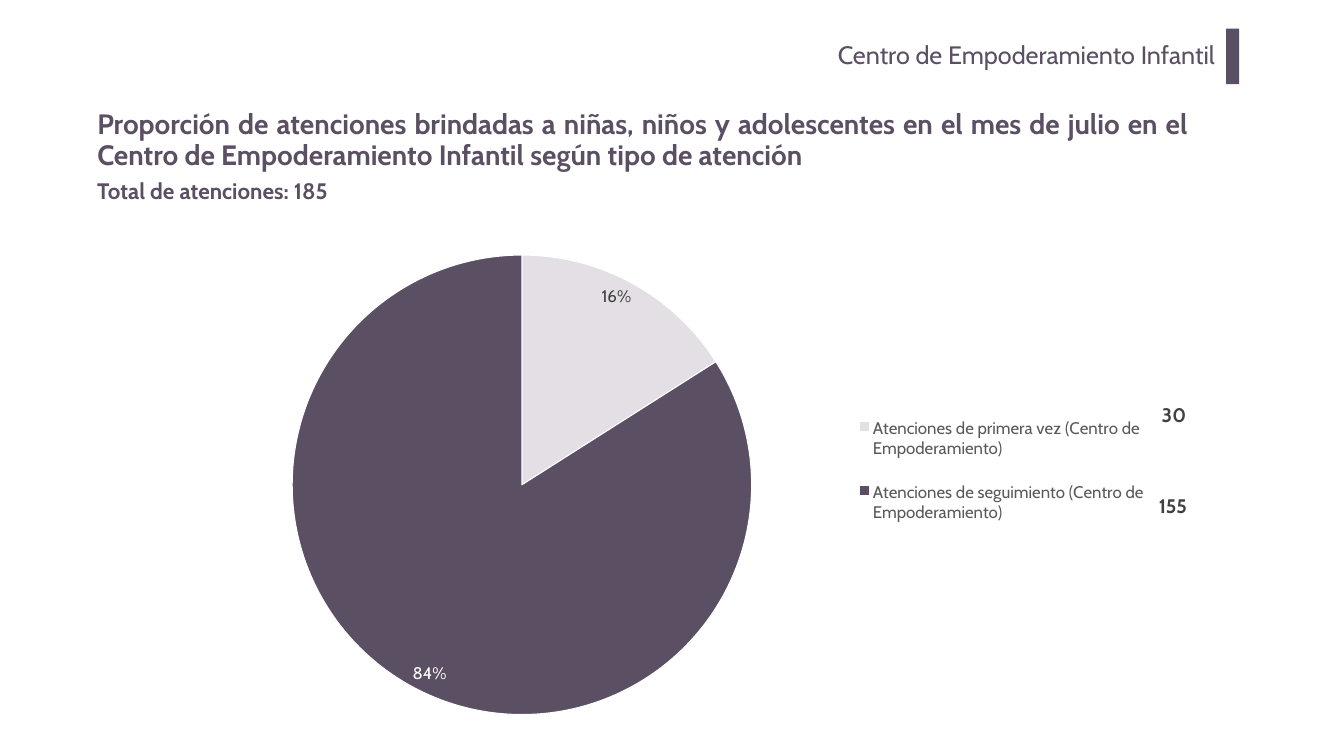
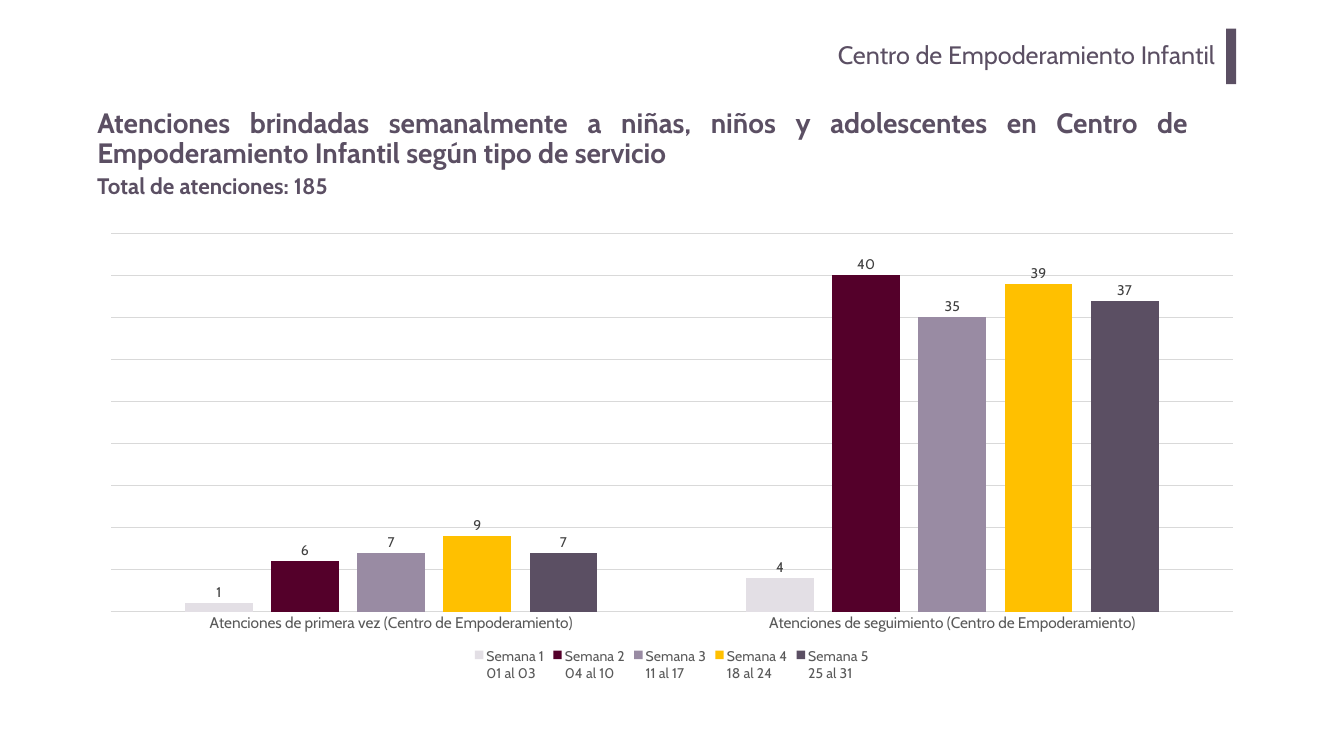
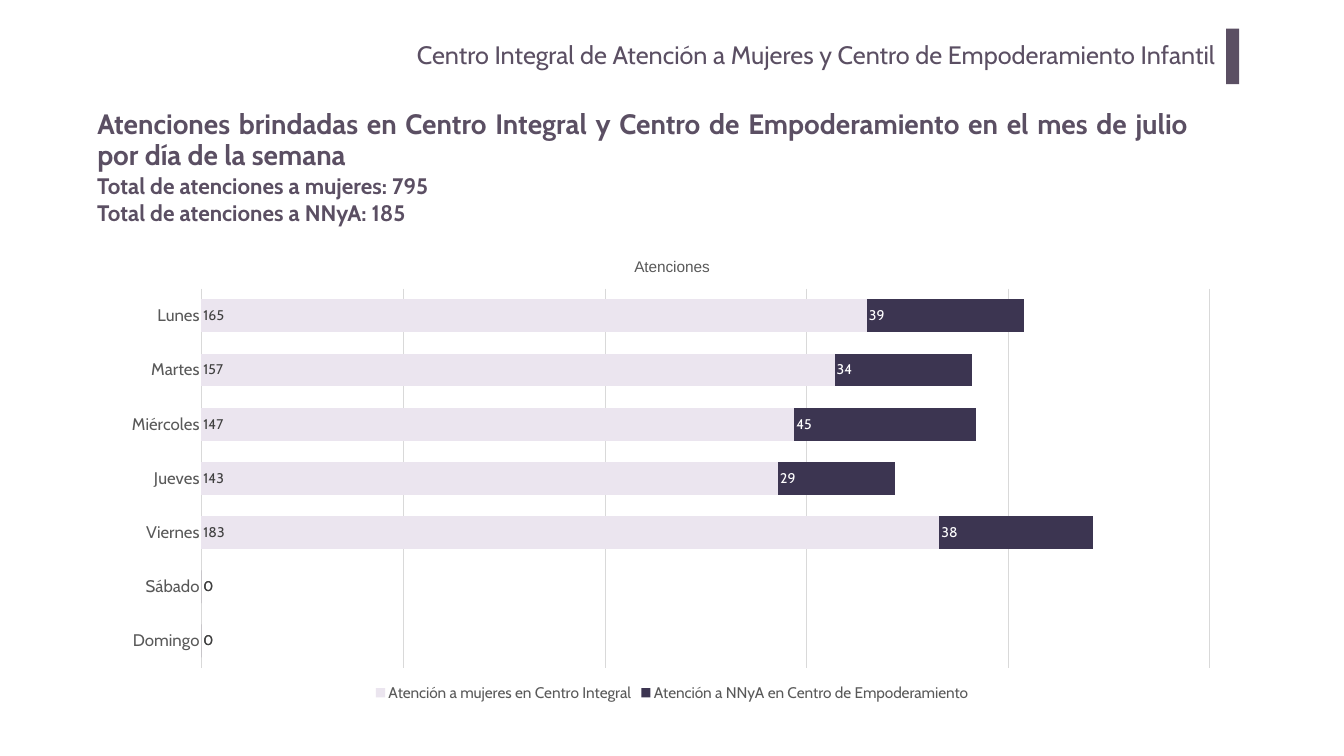
import pptx
import pptx.chart.data
import pptx.dml.color
import pptx.enum.chart
import pptx.enum.shapes
import pptx.enum.text
import pptx.oxml
import pptx.oxml.ns
import pptx.util
from pptx.util import Inches

ALIGN = pptx.enum.text.PP_ALIGN
ANCHOR = pptx.enum.text.MSO_ANCHOR
AUTO_SIZE = pptx.enum.text.MSO_AUTO_SIZE
KIND = pptx.enum.chart.XL_CHART_TYPE
LABEL = pptx.enum.chart.XL_LABEL_POSITION
LEGEND = pptx.enum.chart.XL_LEGEND_POSITION
TICK = pptx.enum.chart.XL_TICK_MARK

THEME = {
    "font": "Cabin", "chart_font": "Arial",
    "plum": "5B4F63", "mist": "E3DFE5", "wine": "54002A", "mauve": "998BA3",
    "gold": "FFC000", "lilac": "EBE5EF", "night": "3C3551", "white": "FFFFFF",
    "black": "000000", "dark": "404040", "gray": "595959", "rule": "D9D9D9",
    "header_size": 36, "title_size": 40, "total_size": 32, "count_size": 28,
    "chart_size": 10,
}

CENTER = "Centro de Empoderamiento Infantil"
SERVICES = ["Atenciones de primera vez (Centro de Empoderamiento)",
            "Atenciones de seguimiento (Centro de Empoderamiento)"]

SLIDES = [
    {
        "header": CENTER, "band_width": 0.26,
        "title": "Proporción de atenciones brindadas a niñas, niños y adolescentes "
                 "en el mes de julio en el Centro de Empoderamiento Infantil según "
                 "tipo de atención",
        "title_top": 2.07,
        "totals": ["Total de atenciones: 185"], "totals_at": (1.83, 3.46, 5.64, 0.64),
        "counts": [("30", (22.88, 7.95, 0.83, 0.51)), ("155", (22.86, 9.76, 0.83, 0.51))],
        "chart": {
            "kind": KIND.PIE, "at": (3.42, 4.91, 19.82, 9.42),
            "categories": SERVICES,
            "series": [("Series 1", [16, 84], None, [1])],
            "slices": ["mist", "plum"],
            "label": LABEL.INSIDE_END, "label_size": 24,
            "legend": LEGEND.RIGHT, "legend_size": 24,
            "plot_layout": (0.12, 0.015, 0.46, 0.97),
            "legend_layout": (0.68, 0.31, 0.3, 0.32),
        },
    },
    {
        "header": CENTER, "band_width": 0.2,
        "title": "Atenciones brindadas semanalmente a niñas, niños y adolescentes en "
                 "Centro de Empoderamiento Infantil según tipo de servicio",
        "title_top": 2.04,
        "totals": ["Total de atenciones: 185"], "totals_at": (1.83, 3.36, 5.64, 0.64),
        "chart": {
            "kind": KIND.COLUMN_CLUSTERED, "at": (1.73, 4.45, 23.2, 9.15),
            "categories": SERVICES,
            "series": [
                ("Semana 1\n01 al 03", [1, 4], "mist", []),
                ("Semana 2\n04 al 10", [6, 40], "wine", []),
                ("Semana 3\n11 al 17", [7, 35], "mauve", []),
                ("Semana 4\n18 al 24", [9, 39], "gold", []),
                ("Semana 5\n25 al 31", [7, 37], "plum", []),
            ],
            "label": LABEL.OUTSIDE_END, "label_size": 20,
            "legend": LEGEND.BOTTOM, "legend_size": 20, "axis_size": 22,
            "bars": {"gap_width": 219, "overlap": -27},
            "scale": {"minimum_scale": 0, "maximum_scale": 45, "major_unit": 5},
            "plot_layout": (0.02, 0.02, 0.96, 0.82),
        },
    },
    {
        "header": "Centro Integral de Atención a Mujeres y " + CENTER,
        "band_width": 0.26,
        "title": "Atenciones brindadas en Centro Integral y Centro de Empoderamiento "
                 "en el mes de julio por día de la semana",
        "title_top": 2.07,
        "totals": ["Total de atenciones a mujeres: 795", "Total de atenciones a NNyA: 185"],
        "totals_at": (1.83, 3.36, 8.12, 1.18),
        "chart": {
            "kind": KIND.BAR_STACKED, "at": (2.22, 4.81, 22.23, 9.18),
            "title": "Atenciones", "title_size": 22,
            "categories": ["Domingo", "Sábado", "Viernes", "Jueves", "Miércoles",
                           "Martes", "Lunes"],
            "series": [
                ("Atención a mujeres en Centro Integral",
                 [0, 0, 183, 143, 147, 157, 165], "lilac", []),
                ("Atención a NNyA en Centro de Empoderamiento",
                 [0, 0, 38, 29, 45, 34, 39], "night", [2, 3, 4, 5, 6]),
            ],
            "label": LABEL.INSIDE_BASE, "label_size": 20,
            "legend": LEGEND.BOTTOM, "legend_size": 22, "axis_size": 24,
            "bars": {"gap_width": 65, "overlap": 100},
            "scale": {"minimum_scale": 0, "maximum_scale": 250, "major_unit": 50},
            "plot_layout": (0.08, 0.1, 0.9, 0.82),
        },
    },
]


def rgb(color):
    return pptx.dml.color.RGBColor.from_string(THEME[color])


def assign(target, values):
    for name, value in values.items():
        setattr(target, name, value)


def style_font(font, size, color, bold=False, face="font"):
    assign(font, {"name": THEME[face], "size": pptx.util.Pt(size), "bold": bold})
    font.color.rgb = rgb(color)


def fill_text(frame, lines, size, color, bold=False, para_format=None):
    for index, line in enumerate(lines):
        para = frame.add_paragraph() if index else frame.paragraphs[0]
        assign(para, para_format or {})
        span = para.add_run()
        span.text = line
        style_font(span.font, size, color, bold)


def add_text(page, at, lines, size, color, bold=False, para_format=None, frame_format=None):
    box = page.shapes.add_textbox(*map(Inches, at))
    assign(box.text_frame, {"word_wrap": True, **(frame_format or {})})
    fill_text(box.text_frame, lines, size, color, bold, para_format)


def add_header(page, text, band_width):
    margins = {"margin_left": Inches(0.2), "margin_right": Inches(0.2),
               "margin_top": Inches(0.1), "margin_bottom": Inches(0.1)}
    add_text(page, (4.01, 0.67, 20.3, 1.02), [text], THEME["header_size"], "plum",
             para_format={"alignment": ALIGN.RIGHT}, frame_format=margins)
    band = page.shapes.add_shape(pptx.enum.shapes.MSO_SHAPE.RECTANGLE,
                                 *map(Inches, (24.33, 0.57, band_width, 1.1)))
    band.shadow.inherit = False
    band.fill.solid()
    band.fill.fore_color.rgb = rgb("plum")
    band.line.fill.background()


def set_title(page, text, top):
    title = page.shapes.title
    assign(title, {"left": Inches(1.83), "top": Inches(top),
                   "width": Inches(21.85), "height": Inches(1.45)})
    assign(title.text_frame, {"vertical_anchor": ANCHOR.MIDDLE, "word_wrap": True,
                              "auto_size": AUTO_SIZE.NONE})
    fill_text(title.text_frame, [text], THEME["title_size"], "plum", True,
              {"alignment": ALIGN.JUSTIFY, "line_spacing": 0.9})


def set_layout(parent, index, box, inner=False):
    """Fix the place of a chart part, in fractions of the chart's size."""
    for old in parent.findall(pptx.oxml.ns.qn("c:layout")):
        parent.remove(old)
    target = '<c:layoutTarget val="inner"/>' if inner else ""
    modes = '<c:xMode val="edge"/><c:yMode val="edge"/>'
    sizes = "".join(f'<c:{name} val="{value}"/>' for name, value in zip("xywh", box))
    parent.insert(index, pptx.oxml.parse_xml(
        f'<c:layout {pptx.oxml.ns.nsdecls("c")}><c:manualLayout>'
        f"{target}{modes}{sizes}</c:manualLayout></c:layout>"))


def style_axes(chart, info):
    categories, values = chart.category_axis, chart.value_axis
    assign(categories, {"major_tick_mark": TICK.NONE, "minor_tick_mark": TICK.NONE})
    style_font(categories.tick_labels.font, info["axis_size"], "gray")
    assign(values, {**info["scale"], "visible": False, "has_major_gridlines": True})
    for line in (categories.format.line, values.major_gridlines.format.line):
        line.color.rgb = rgb("rule")
        line.width = pptx.util.Pt(0.75)


def style_series(series, info, color, light_points):
    if color:
        series.format.fill.solid()
        series.format.fill.fore_color.rgb = rgb(color)
    for index, slice_color in enumerate(info.get("slices", [])):
        look = series.points[index].format
        look.fill.solid()
        look.fill.fore_color.rgb = rgb(slice_color)
        look.line.color.rgb = rgb("white")
        look.line.width = pptx.util.Pt(1.5)
    labels = series.data_labels
    assign(labels, {"show_value": True, "position": info["label"]})
    style_font(labels.font, info["label_size"], "dark")
    for index in light_points:
        label = series.points[index].data_label
        style_font(label.font, info["label_size"], "white")
        label.position = info["label"]


def show_percentages(chart):
    for tag, value in (("c:showVal", "0"), ("c:showPercent", "1")):
        for flag in chart.element.iter(pptx.oxml.ns.qn(tag)):
            flag.set("val", value)


def add_chart(page, info):
    data = pptx.chart.data.CategoryChartData()
    data.categories = info["categories"]
    for name, values, _, _ in info["series"]:
        data.add_series(name, values)
    chart = page.shapes.add_chart(info["kind"], *map(Inches, info["at"]), data).chart
    style_font(chart.font, THEME["chart_size"], "black", face="chart_font")

    chart.has_title = "title" in info
    if chart.has_title:
        frame = chart.chart_title.text_frame
        frame.text = info["title"]
        style_font(frame.paragraphs[0].runs[0].font, info["title_size"], "gray",
                   face="chart_font")
        chart.chart_title.include_in_layout = False

    chart.has_legend = True
    assign(chart.legend, {"position": info["legend"], "include_in_layout": False})
    style_font(chart.legend.font, info["legend_size"], "gray")

    plot = chart.plots[0]
    is_pie = info["kind"] == KIND.PIE
    plot.vary_by_categories = is_pie
    assign(plot, info.get("bars", {}))
    for series, (_, _, color, light_points) in zip(plot.series, info["series"]):
        style_series(series, info, color, light_points)
    if is_pie:
        show_percentages(chart)
    else:
        style_axes(chart, info)

    plot_area = chart.element.find(".//" + pptx.oxml.ns.qn("c:plotArea"))
    set_layout(plot_area, 0, info["plot_layout"], inner=True)
    if "legend_layout" in info:
        legend = chart.element.find(".//" + pptx.oxml.ns.qn("c:legend"))
        set_layout(legend, 1, info["legend_layout"])


def main():
    deck = pptx.Presentation()
    deck.slide_width, deck.slide_height = Inches(26.67), Inches(15)
    for content in SLIDES:
        page = deck.slides.add_slide(deck.slide_layouts.get_by_name("Title Only"))
        add_header(page, content["header"], content["band_width"])
        set_title(page, content["title"], content["title_top"])
        add_text(page, content["totals_at"], content["totals"], THEME["total_size"],
                 "plum", True, frame_format={"auto_size": AUTO_SIZE.SHAPE_TO_FIT_TEXT})
        add_chart(page, content["chart"])
        for count, at in content.get("counts", []):
            add_text(page, at, [count], THEME["count_size"], "dark", True,
                     {"alignment": ALIGN.CENTER})
    deck.save("out.pptx")


if __name__ == "__main__":
    main()
